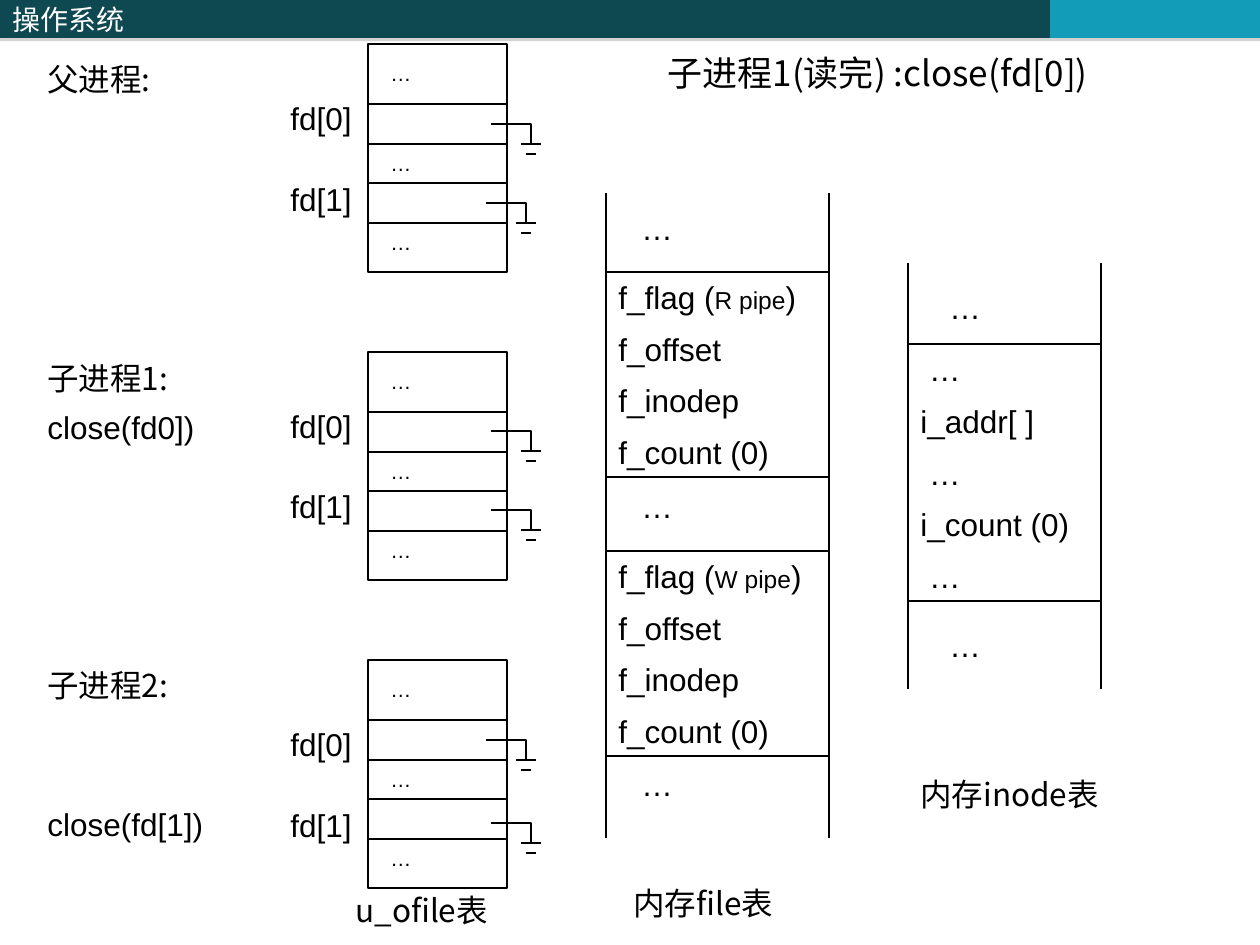
from lxml.etree import SubElement
from pptx import Presentation
from pptx.dml.color import RGBColor
from pptx.enum.shapes import MSO_CONNECTOR, MSO_SHAPE
from pptx.enum.text import MSO_ANCHOR, PP_ALIGN
from pptx.oxml.ns import qn
from pptx.util import Pt

PX = 914400 / 126
BLACK = RGBColor(0x00, 0x00, 0x00)
WHITE = RGBColor(0xFF, 0xFF, 0xFF)
TEAL = RGBColor(0x0E, 0x48, 0x51)
CYAN = RGBColor(0x13, 0x9C, 0xB7)
LATIN, CHINESE = "Arial", "Noto Sans CJK SC"

# Content: header bars as (left, width, colour, text)
HEADER = [(0, 514, TEAL, "操作系统"), (514, 536, TEAL, ""), (1050, 210, CYAN, "")]

# Labels as (left, top, width, text, font, size)
LABELS = [
    (655, 45, 605, "子进程1(读完) :close(fd[0])", CHINESE, 20),
    (35, 54, 171, "父进程:", CHINESE, 18),
    (35, 353, 184, "子进程1:", CHINESE, 18),
    (35, 402, 233, "close(fd0])", LATIN, 18),
    (35, 660, 184, "子进程2:", CHINESE, 18),
    (35, 799, 233, "close(fd[1])", LATIN, 18),
    (343, 885, 221, "u_ofile表", CHINESE, 18),
    (621, 878, 221, "内存file表", CHINESE, 18),
    (908, 769, 257, "内存inode表", CHINESE, 18),
]

# Descriptor tables: top, tops of the fd labels, starts of the ground wires
OFILE_TABLES = [
    (44, (93, 174), ((491, 124), (486, 203))),
    (352, (401, 481), ((491, 431), (491, 510))),
    (660, (719, 800), ((486, 740), (491, 823))),
]
OFILE_LEFT, OFILE_WIDTH, OFILE_HEIGHT = 368, 139, 228
ROW_LINES = (60, 100, 139, 179)
ROW_DOTS = (10, 100, 179)


def file_entry(mode):
    return [[("f_flag (", 18), (f"{mode} pipe", 14), (")", 18)],
            "f_offset", "f_inodep", "f_count (0)"]


# Kernel tables: open-ended columns holding boxed entries
COLUMNS = [
    dict(left=606, width=223, top=193, bottom=838, entry_height=205,
         entries=[(272, file_entry("R")), (551, file_entry("W"))],
         dots_left=629, dots_tops=(203, 481, 759)),
    dict(left=908, width=193, top=263, bottom=689, entry_height=257,
         entries=[(344, [" …", "i_addr[ ]", " …", "i_count (0)", " …"])],
         dots_left=937, dots_tops=(282, 620)),
]

deck = Presentation()
deck.slide_width, deck.slide_height = round(1260 * PX), round(945 * PX)
page = deck.slides.add_slide(deck.slide_layouts[6])


def emu(*lengths):
    return [round(length * PX) for length in lengths]


def write(box, paragraphs, font=LATIN, size=18, color=BLACK, before=None,
          anchor=MSO_ANCHOR.TOP):
    """Fill a box; a paragraph is a string or a list of (text, size) spans."""
    frame = box.text_frame
    frame.word_wrap = True
    frame.vertical_anchor = anchor
    for index, content in enumerate(paragraphs):
        para = frame.add_paragraph() if index else frame.paragraphs[0]
        para.alignment = PP_ALIGN.LEFT
        para.space_before = Pt(size * 0.625 if before is None else before)
        spans = [(content, size)] if isinstance(content, str) else content
        for text, span_size in spans:
            span = para.add_run()
            span.text = text
            span.font.size = Pt(span_size)
            span.font.name = font
            span.font.color.rgb = color
            SubElement(span.font._element, qn("a:ea"), typeface=font)


def add_text(left, top, width, text, font=LATIN, size=18):
    box = page.shapes.add_textbox(*emu(left, top, width, size * 2 + 14))
    write(box, [text], font=font, size=size)


def add_box(left, top, width, height, fill=None):
    box = page.shapes.add_shape(MSO_SHAPE.RECTANGLE, *emu(left, top, width, height))
    box.shadow.inherit = False
    if fill is None:
        box.fill.background()
        box.line.color.rgb = BLACK
        box.line.width = Pt(1.5)
    else:
        box.fill.solid()
        box.fill.fore_color.rgb = fill
        box.line.fill.background()
    return box


def add_line(x1, y1, x2, y2, weight):
    line = page.shapes.add_connector(MSO_CONNECTOR.STRAIGHT, *emu(x1, y1, x2, y2))
    line.line.color.rgb = BLACK
    line.line.width = Pt(weight)
    SubElement(line._element.spPr, qn("a:effectLst"))


def add_ground(x, y):
    """Wire that leaves a table row and ends in a ground sign."""
    builder = page.shapes.build_freeform(x, y, scale=PX)
    builder.add_line_segments([(x + 40, y), (x + 40, y + 20)], close=False)
    wire = builder.convert_to_shape()
    wire.shadow.inherit = False
    wire.fill.background()
    wire.line.color.rgb = BLACK
    wire.line.width = Pt(1.25)
    for half, drop in ((10, 20), (5, 30)):
        add_line(x + 40 - half, y + drop, x + 40 + half, y + drop, 0.75)


# Header bars with a thin grey shadow below
for left, width, color, text in HEADER:
    bar = add_box(left, 0, width, 38, fill=color)
    effects = bar._element.spPr.find(qn("a:effectLst"))
    shadow = SubElement(effects, qn("a:outerShdw"), blurRad="0",
                        dist=str(Pt(1.8)), dir="5400000", rotWithShape="0")
    tint = SubElement(shadow, qn("a:srgbClr"), val="808080")
    SubElement(tint, qn("a:alpha"), val="35000")
    if text:
        write(bar, [text], font=CHINESE, size=16, color=WHITE, before=0,
              anchor=MSO_ANCHOR.MIDDLE)

# File and inode tables
for column in COLUMNS:
    left, width = column["left"], column["width"]
    for x in (left, left + width):
        add_line(x, column["top"], x, column["bottom"], 1.5)
    for top, fields in column["entries"]:
        write(add_box(left, top, width, column["entry_height"]), fields, before=7.9)
    for top in column["dots_tops"]:
        add_text(column["dots_left"], top, 118, "…")

# Descriptor tables of the three processes
for top, label_tops, grounds in OFILE_TABLES:
    add_box(OFILE_LEFT, top, OFILE_WIDTH, OFILE_HEIGHT)
    for offset in ROW_LINES:
        add_line(OFILE_LEFT, top + offset, OFILE_LEFT + OFILE_WIDTH, top + offset, 1.25)
    for offset in ROW_DOTS:
        add_text(378, top + offset, 110, "…", size=12)
    for number, label_top in enumerate(label_tops):
        add_text(278, label_top, 100, f"fd[{number}]")
    for x, y in grounds:
        add_ground(x, y)

# Titles and captions
for label in LABELS:
    add_text(*label)

deck.save("out.pptx")
